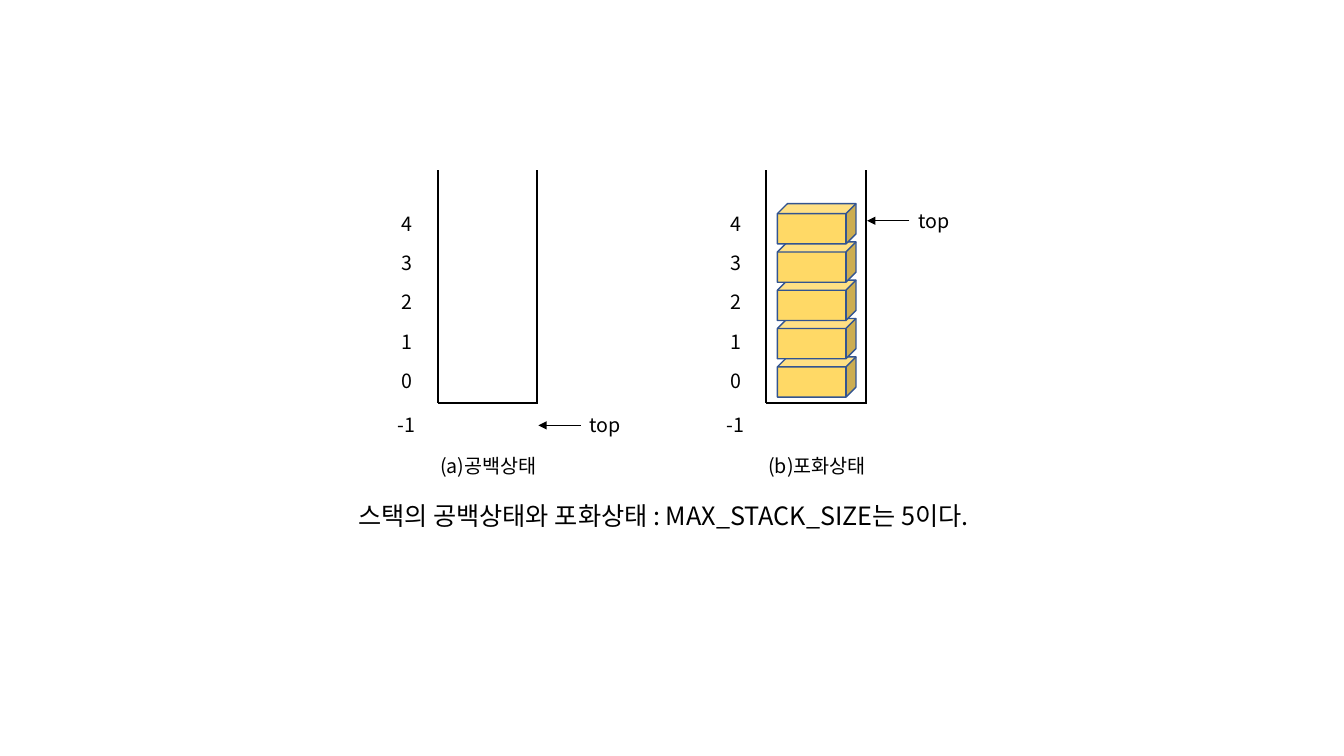
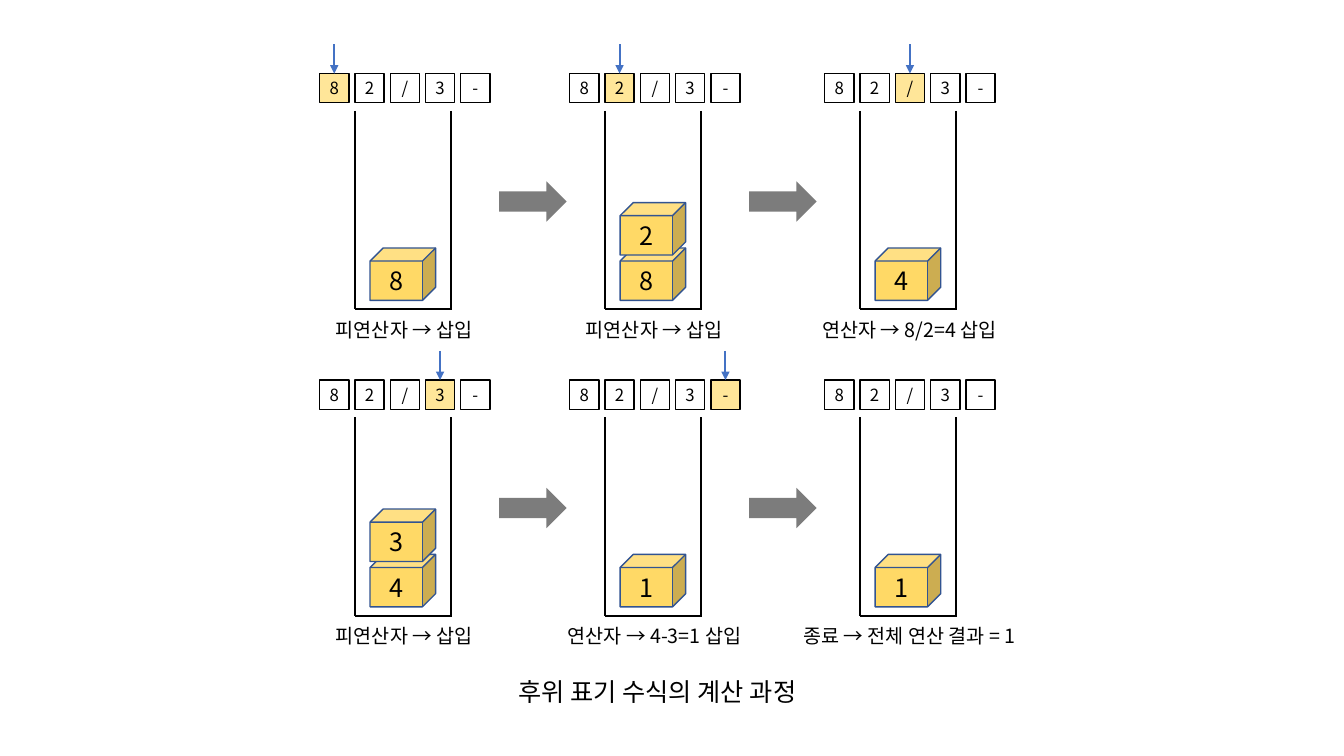
"""Two slides on stacks: empty and full states, then postfix evaluation."""
from lxml.etree import SubElement
from pptx import Presentation
from pptx.dml.color import RGBColor
from pptx.enum.shapes import MSO_CONNECTOR, MSO_SHAPE
from pptx.enum.text import MSO_ANCHOR, MSO_AUTO_SIZE, PP_ALIGN
from pptx.oxml.ns import qn
from pptx.util import Inches, Pt

FONT = "Noto Sans CJK KR"
BLACK, GOLD, PALE_GOLD, NAVY, BLUE, GRAY = (
    RGBColor.from_string(value)
    for value in ("000000", "FFD966", "FFE699", "325491", "4472C4", "7C7C7C"))


def add_item(slide, kind, box, text="", size=14, fill=None, outline=None):
    """Add a preset shape, a text box or the slide title, with its text."""
    left, top, width, height = map(Inches, box)
    if kind == "title":
        shape = slide.shapes.title
        shape.left, shape.top, shape.width, shape.height = left, top, width, height
    elif kind == "label":
        shape = slide.shapes.add_textbox(left, top, width, height)
    else:
        shape = slide.shapes.add_shape(kind, left, top, width, height)
        shape.shadow.inherit = False
        for part, colour in ((shape.fill, fill), (shape.line.fill, outline)):
            if colour is None:
                part.background()
            else:
                part.solid()
                part.fore_color.rgb = colour
        if outline is not None:
            shape.line.width = Pt(1)
    if not text:
        return
    anchor = MSO_ANCHOR.TOP if kind in ("title", "label") else MSO_ANCHOR.MIDDLE
    frame_format = {"word_wrap": True, "auto_size": MSO_AUTO_SIZE.NONE,
                    "margin_left": 0, "margin_right": 0, "vertical_anchor": anchor}
    for name, value in frame_format.items():
        setattr(shape.text_frame, name, value)
    paragraph = shape.text_frame.paragraphs[0]
    paragraph.alignment = PP_ALIGN.CENTER
    run = paragraph.add_run()
    run.text = text
    for name, value in {"name": FONT, "size": Pt(size)}.items():
        setattr(run.font, name, value)
    run.font.color.rgb = BLACK
    SubElement(run.font._element, qn("a:ea"), typeface=FONT)


def add_line(slide, start, end, colour=BLACK, weight=1.5, arrow=False):
    """Add a straight line, with an arrowhead at its end if asked."""
    connector = slide.shapes.add_connector(
        MSO_CONNECTOR.STRAIGHT, *map(Inches, (*start, *end)))
    connector.line.color.rgb = colour
    connector.line.width = Pt(weight)
    properties = connector._element.spPr
    if arrow:
        SubElement(properties.find(qn("a:ln")), qn("a:tailEnd"), type="triangle")
    SubElement(properties, qn("a:effectLst"))


presentation = Presentation()
presentation.slide_width, presentation.slide_height = Inches(13.33), Inches(7.5)
captions = [
    ("스택의 공백상태와 포화상태 : MAX_STACK_SIZE는 5이다.", 2.84, 4.91),
    ("후위 표기 수식의 계산 과정", 2.78, 6.66),
]
slides = []
for caption, left, top in captions:
    slide = presentation.slides.add_slide(presentation.slide_layouts[5])
    add_item(slide, "title", (left, top, 7.48, 0.4), caption, 18)
    slides.append(slide)
states_slide, steps_slide = slides
tubes = []

states = [(4.34, "(a)공백상태", 0, 4.22), (7.6, "(b)포화상태", 5, 2.19)]
for left, name, block_count, pointer_y in states:
    tubes.append((states_slide, left, 1.69, 0.99, 2.31))
    add_item(states_slide, "label", (left - 0.88, 4.45, 2.77, 0.34), name)
    add_item(states_slide, "label", (left - 0.81, 4.05, 1.01, 0.34), "-1")
    for index in range(5):
        add_item(states_slide, "label",
                 (left - 0.81, 3.61 - 0.39 * index, 1.01, 0.34), str(index))
    for index in range(block_count):
        add_item(states_slide, MSO_SHAPE.CUBE,
                 (left + 0.11, 3.54 - 0.38 * index, 0.78, 0.4),
                 fill=GOLD, outline=NAVY)
    add_line(states_slide, (left + 1.42, pointer_y), (left + 1, pointer_y),
             weight=0.5, arrow=True)
    add_item(states_slide, "label", (left + 1.16, pointer_y - 0.17, 1.01, 0.34), "top")

column_lefts = (3.17, 5.65, 8.18)
row_tops = (0.44, 3.48)
steps = [
    (0, "8", "피연산자 → 삽입"),
    (1, "82", "피연산자 → 삽입"),
    (2, "4", "연산자 → 8/2=4 삽입"),
    (3, "43", "피연산자 → 삽입"),
    (4, "1", "연산자 → 4-3=1 삽입"),
    (None, "1", "종료 → 전체 연산 결과 = 1"),
]
for number, (current, stack, note) in enumerate(steps):
    row, column = divmod(number, len(column_lefts))
    left, top = column_lefts[column], row_tops[row]
    tubes.append((steps_slide, left + 0.35, top + 0.66, 0.95, 1.97))
    for index, token in enumerate("82/3-"):
        cell_left = left + 0.35 * index
        active = index == current
        add_item(steps_slide, MSO_SHAPE.RECTANGLE, (cell_left, top + 0.29, 0.29, 0.29),
                 token, 12, PALE_GOLD if active else None, BLACK)
        if active:
            middle = cell_left + 0.29 / 2
            add_line(steps_slide, (middle, top), (middle, top + 0.29), BLUE, arrow=True)
    for index, value in enumerate(stack):
        add_item(steps_slide, MSO_SHAPE.CUBE,
                 (left + 0.5, top + 2.02 - 0.45 * index, 0.65, 0.52),
                 value, 18, GOLD, NAVY)
    add_item(steps_slide, "label", (left - 0.4, top + 2.66, 2.48, 0.34), note)
    if column < len(column_lefts) - 1:
        add_item(steps_slide, MSO_SHAPE.RIGHT_ARROW,
                 (left + 1.78, top + 1.36, 0.67, 0.4), fill=GRAY)

for slide, left, top, width, height in tubes:
    right, bottom = left + width, top + height
    add_line(slide, (left, top), (left, bottom))
    add_line(slide, (right, top), (right, bottom))
    add_line(slide, (left, bottom), (right + 0.01, bottom))

presentation.save("out.pptx")
